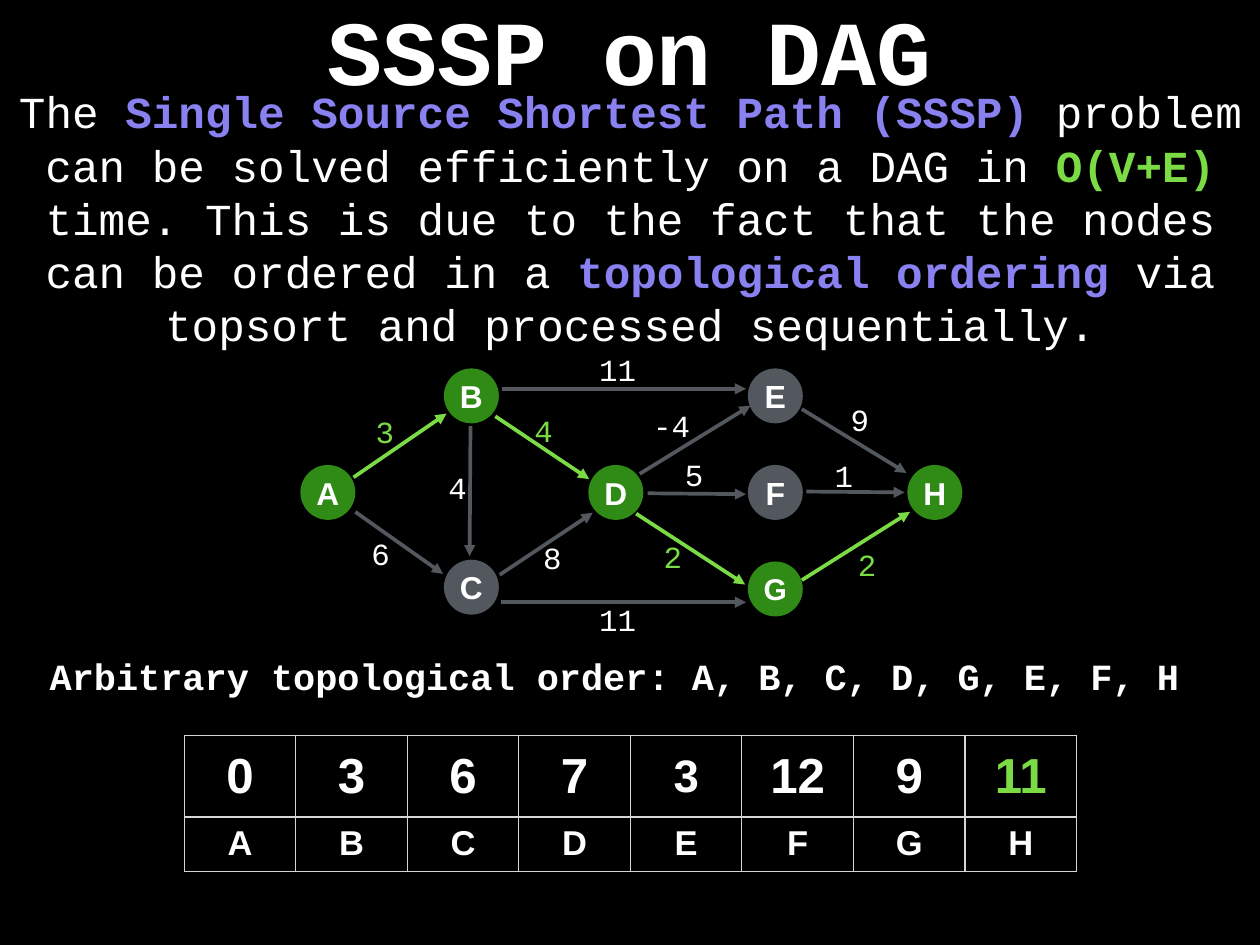
from dataclasses import dataclass
from itertools import pairwise

from lxml.etree import SubElement
from pptx import Presentation
from pptx.dml.color import RGBColor
from pptx.enum.shapes import MSO_CONNECTOR, MSO_SHAPE
from pptx.enum.text import MSO_ANCHOR, MSO_AUTO_SIZE, PP_ALIGN
from pptx.oxml.ns import qn
from pptx.util import Pt

PX = 9144  # EMU per px, 100 px to the inch
SLIDE_W, SLIDE_H = 1422, 1067
INSET = 6
NODE_D = 62
LABEL_H, CHAR_W = 51, 21


@dataclass(frozen=True)
class Theme:
    mono: str = "Courier New"
    sans: str = "Arial"
    black: str = "000000"
    white: str = "FFFFFF"
    purple: str = "8981F0"
    lime: str = "7BDB45"
    green: str = "308B16"
    gray: str = "53585F"
    border: str = "D6D6D6"
    title: float = 74.4
    body: float = 36
    order: float = 30
    node: float = 25.7
    node_wide: float = 26
    node_small: float = 24.4
    weight: float = 25
    distance: float = 40
    distance_small: float = 37
    vertex: float = 28


T = Theme()

TITLE = "SSSP on DAG"
INTRO = [
    ("The ", None),
    ("Single Source Shortest Path (SSSP)", T.purple),
    (" problem can be solved efficiently on a DAG in ", None),
    ("O(V+E)", T.lime),
    (" time. This is due to the fact that the nodes can be ordered in a ", None),
    ("topological ordering", T.purple),
    (" via topsort and processed sequentially.", None),
]
ORDER = "Arbitrary topological order: A, B, C, D, G, E, F, H"
SHORTEST_PATH = "ABDGH"

# name: left, top, text size
NODES = {
    "A": (339, 525, T.node),
    "B": (501, 416, T.node),
    "C": (501, 632, T.node),
    "D": (664, 525, T.node),
    "E": (844, 416, T.node_wide),
    "F": (844, 525, T.node_wide),
    "G": (844, 634, T.node_small),
    "H": (1024, 525, T.node),
}

# edge, weight, start, end, left and top of the weight
EDGES = [
    ("AB", "3", (399, 539), (504, 467), (418, 461)),
    ("AC", "6", (401, 578), (500, 648), (413, 599)),
    ("CD", "8", (564, 649), (669, 579), (607, 604)),
    ("BD", "4", (559, 470), (665, 541), (597, 460)),
    ("DF", "5", (731, 557), (842, 558), (767, 510)),
    ("DE", "-4", (722, 535), (847, 458), (731, 455)),
    ("DG", "2", (718, 580), (841, 660), (743, 603)),
    ("GH", "2", (905, 655), (1027, 578), (962, 611)),
    ("FH", "1", (910, 555), (1021, 556), (936, 511)),
    ("EH", "9", (905, 462), (1023, 534), (954, 448)),
    ("CG", "11", (565, 680), (842, 680), (670, 674)),
    ("BE", "11", (566, 439), (842, 439), (670, 391)),
    ("BC", "4", (531, 481), (530, 628), (500, 524)),
]

DISTANCES = ["0", "3", "6", "7", "3", "12", "9", "11"]
TABLE_X, TABLE_W = 208, 1007


def box(left, top, width, height):
    return [v * PX for v in (left, top, width, height)]


def rgb(color):
    return RGBColor.from_string(color)


def style(run, size, color=T.white, font=T.mono, bold=False):
    f = run.font
    f.name, f.size, f.bold = font, Pt(size), bold
    f.color.rgb = rgb(color)


def set_frame(tf, wrap=True, grow=False):
    tf.margin_left = tf.margin_right = tf.margin_top = tf.margin_bottom = INSET * PX
    tf.vertical_anchor = MSO_ANCHOR.MIDDLE
    tf.word_wrap = wrap
    tf.auto_size = MSO_AUTO_SIZE.SHAPE_TO_FIT_TEXT if grow else MSO_AUTO_SIZE.NONE


def write(tf, text, size, align=PP_ALIGN.CENTER, **look):
    tf.text = text
    p = tf.paragraphs[0]
    p.alignment = align
    style(p.runs[0], size, **look)


def add_label(slide, bounds, text, size, **look):
    tf = slide.shapes.add_textbox(*box(*bounds)).text_frame
    set_frame(tf, wrap=False, grow=True)
    write(tf, text, size, **look)


def add_title(slide):
    sp = slide.shapes.title
    sp.left, sp.top, sp.width, sp.height = box(-12, -11, 1445, 132)
    set_frame(sp.text_frame)
    write(sp.text_frame, TITLE, T.title, bold=True)


def add_intro(slide):
    tf = slide.shapes.add_textbox(*box(13, 83, 1397, 325)).text_frame
    set_frame(tf)
    p = tf.paragraphs[0]
    p.alignment = PP_ALIGN.CENTER
    for text, accent in INTRO:
        r = p.add_run()
        r.text = text
        style(r, T.body, accent or T.white, bold=accent is not None)


def add_node(slide, name, left, top, size):
    sp = slide.shapes.add_shape(MSO_SHAPE.OVAL, *box(left, top, NODE_D, NODE_D))
    sp.shadow.inherit = False
    sp.fill.solid()
    sp.fill.fore_color.rgb = rgb(T.green if name in SHORTEST_PATH else T.gray)
    sp.line.fill.background()
    set_frame(sp.text_frame)
    write(sp.text_frame, name, size, font=T.sans, bold=True)


def add_edge(slide, start, end, color):
    line = slide.shapes.add_connector(MSO_CONNECTOR.STRAIGHT, *box(*start, *end))
    line.line.color.rgb = rgb(color)
    line.line.width = Pt(3)
    SubElement(line.line._get_or_add_ln(), qn("a:tailEnd"), type="triangle")
    SubElement(line._element.spPr, qn("a:effectLst"))


def add_borders(cell):
    """Draw all four borders; they must precede the cell's fill in the XML."""
    tcPr = cell._tc.get_or_add_tcPr()
    for i, side in enumerate(("a:lnL", "a:lnR", "a:lnT", "a:lnB")):
        ln = SubElement(tcPr, qn(side), w=str(Pt(1)))
        SubElement(SubElement(ln, qn("a:solidFill")), qn("a:srgbClr"), val=T.border)
        tcPr.insert(i, ln)


def add_row_table(slide, top, height, entries):
    """Add a one-row table from (text, size, color) entries."""
    bounds = box(TABLE_X, top, TABLE_W, height)
    table = slide.shapes.add_table(1, len(entries), *bounds).table
    table.first_row = table.horz_banding = False
    for cell, (text, size, color) in zip(table.iter_cells(), entries):
        cell.margin_left = cell.margin_right = INSET * PX
        cell.margin_top = cell.margin_bottom = INSET * PX
        cell.vertical_anchor = MSO_ANCHOR.MIDDLE
        cell.fill.background()
        add_borders(cell)
        write(cell.text_frame, text, size, color=color, font=T.sans, bold=True)


def main():
    prs = Presentation()
    prs.slide_width, prs.slide_height = SLIDE_W * PX, SLIDE_H * PX
    s = prs.slides.add_slide(prs.slide_layouts[5])
    s.background.fill.solid()
    s.background.fill.fore_color.rgb = rgb(T.black)

    add_title(s)
    add_intro(s)
    for name, (left, top, size) in NODES.items():
        add_node(s, name, left, top, size)

    path_edges = set(pairwise(SHORTEST_PATH))
    for edge, weight, start, end, corner in EDGES:
        on_path = tuple(edge) in path_edges
        add_edge(s, start, end, T.lime if on_path else T.gray)
        bounds = (*corner, 2 * INSET + CHAR_W * len(weight), LABEL_H)
        add_label(s, bounds, weight, T.weight, color=T.lime if on_path else T.white)

    add_label(s, (50, 733, 1292, 60), ORDER, T.order, align=PP_ALIGN.LEFT, bold=True)

    sizes = [T.distance_small if v == "E" else T.distance for v in NODES]
    colors = [T.lime if v == "H" else T.white for v in NODES]
    add_row_table(s, 830, 93, list(zip(DISTANCES, sizes, colors)))
    add_row_table(s, 922, 62, [(v, T.vertex, T.white) for v in NODES])
    prs.save("out.pptx")


if __name__ == "__main__":
    main()
